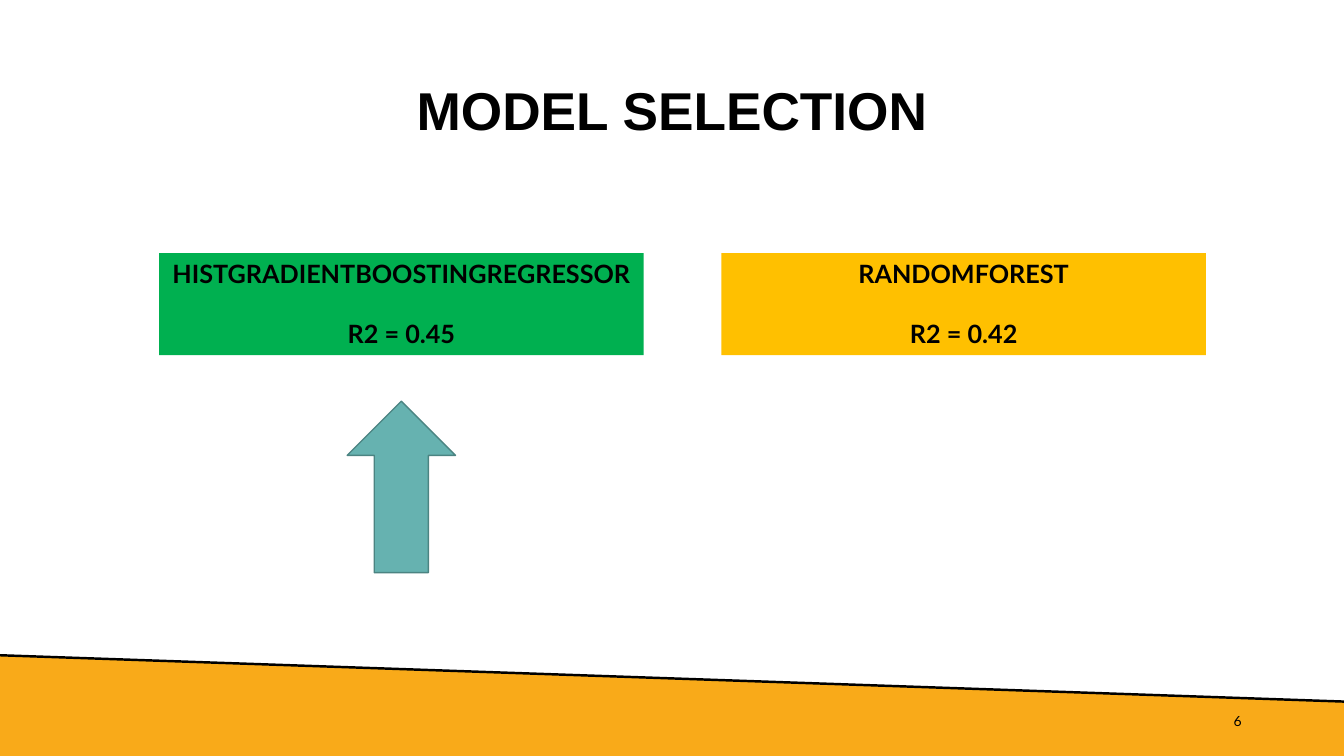
from dataclasses import dataclass

from lxml.etree import SubElement
from pptx import Presentation
from pptx.dml.color import RGBColor
from pptx.enum.shapes import MSO_CONNECTOR as Wire, MSO_SHAPE as Form
from pptx.enum.text import MSO_ANCHOR as Anchor, PP_ALIGN as Align
from pptx.oxml.ns import qn
from pptx.util import Cm, Pt

BLACK = "000000"


@dataclass
class Model:
    name: str
    score: str
    fill: str


MODELS = [
    Model("HISTGRADIENTBOOSTINGREGRESSOR", "R2 = 0.45", "00B050"),
    Model("RANDOMFOREST", "R2 = 0.42", "FFC000"),
]


def color(code: str) -> RGBColor:
    return RGBColor.from_string(code)


def paint(shape, fill: str, line: str = "", width: float = 1) -> None:
    shape.shadow.inherit = False
    shape.fill.solid()
    shape.fill.fore_color.rgb = color(fill)
    if line:
        shape.line.color.rgb = color(line)
        shape.line.width = Pt(width)
    else:
        shape.line.fill.background()


def write(shape, text: str, size: float, font: str = "Lato", bold: bool = False,
          align=Align.CENTER, anchor=Anchor.MIDDLE, gap: float = 0,
          lead: float = 1.0) -> None:
    frame = shape.text_frame
    frame.word_wrap = True
    frame.vertical_anchor = anchor
    frame.text = text
    for i, para in enumerate(frame.paragraphs):
        para.alignment = align
        para.line_spacing = lead
        para.space_before = Pt(gap if i else 0)
        face = para.runs[0].font
        face.name, face.size, face.bold = font, Pt(size), bold
        face.color.rgb = color(BLACK)


def main() -> None:
    deck = Presentation()
    deck.slide_width, deck.slide_height = Cm(33.87), Cm(19.05)
    shapes = deck.slides.add_slide(deck.slide_layouts[6]).shapes

    # Sloping footer band and its edge
    left, right, high, low = Cm(-0.03), Cm(33.91), Cm(16.51), Cm(17.68)
    path = shapes.build_freeform(left, high)
    path.add_line_segments([(right, low), (right, Cm(19.13)), (left, Cm(19.05))])
    paint(path.convert_to_shape(), "F9AA19")
    edge = shapes.add_connector(Wire.STRAIGHT, left, high, right, low)
    edge.line.color.rgb = color(BLACK)
    edge.line.width = Pt(1.75)
    SubElement(edge._element.spPr, qn("a:effectLst"))

    # Title and page number
    title = shapes.add_textbox(Cm(2.33), Cm(1.01), Cm(29.21), Cm(3.68))
    write(title, "MODEL SELECTION", 38, font="Arial", bold=True, lead=0.9)
    page = shapes.add_textbox(Cm(23.92), Cm(17.66), Cm(7.62), Cm(1.01))
    write(page, "6", 10, align=Align.RIGHT)

    # Model boxes
    for i, model in enumerate(MODELS):
        box = shapes.add_shape(Form.RECTANGLE, Cm(4.01 + 14.17 * i), Cm(6.38),
                               Cm(12.21), Cm(2.57))
        paint(box, model.fill)
        write(box, f"{model.name}\n{model.score}", 18, bold=True,
              anchor=Anchor.TOP, gap=21.6)

    # Arrow to the chosen model
    arrow = shapes.add_shape(Form.UP_ARROW, Cm(8.75), Cm(10.11), Cm(2.73), Cm(4.32))
    paint(arrow, "66B2B0", line="4B8482")

    deck.save("out.pptx")


if __name__ == "__main__":
    main()
